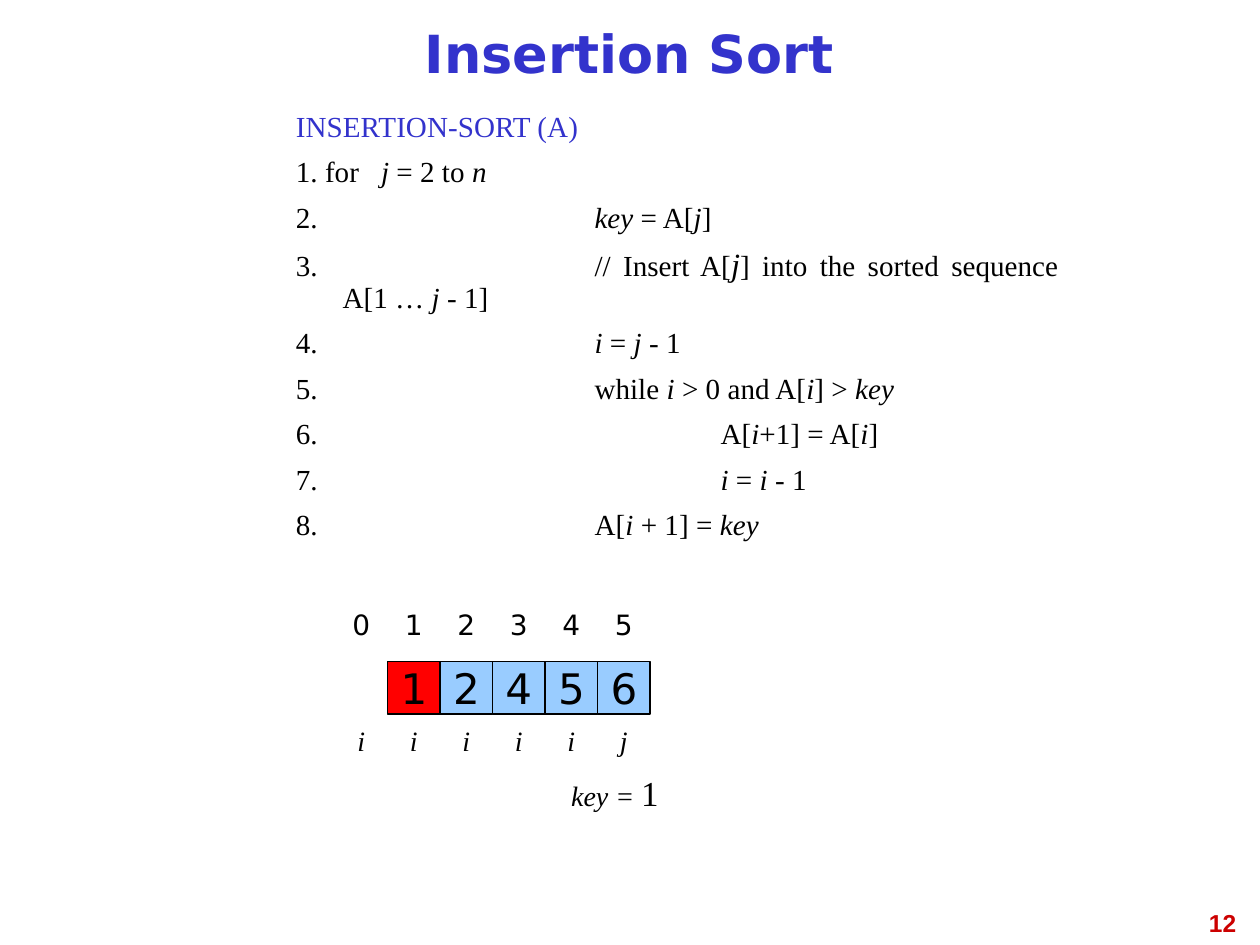
from pptx import Presentation
from pptx.dml.color import RGBColor
from pptx.enum.shapes import MSO_SHAPE
from pptx.enum.text import MSO_ANCHOR, PP_ALIGN
from pptx.util import Inches, Pt

BLUE = RGBColor(0x33, 0x33, 0xCC)
BLACK = RGBColor(0, 0, 0)
RED = RGBColor(0xFF, 0, 0)
SKY = RGBColor(0x99, 0xCC, 0xFF)
DARK_RED = RGBColor(0xCC, 0, 0)
SERIF, SANS = "Times New Roman", "DejaVu Sans"

# Content: runs of a code line alternate between upright and italic
TITLE = "Insertion Sort"
CODE = [
    ["INSERTION-SORT (A)"],
    ["1. for  ", " j", " = 2 to ", "n"],
    ["2. \t\t\t", "key", " = A[", "j", "]"],
    ["3.\t\t\t// Insert A[", "j", "] into the sorted sequence A[1 … ", "j ", "- 1]"],
    ["4.\t\t\t", "i", " = ", "j ", "- 1"],
    ["5.\t\t\twhile ", "i", " > 0 and A[", "i", "] > ", "key"],
    ["6.\t\t\t\tA[", "i", "+1] = A[", "i", "]"],
    ["7.\t\t\t\t", "i", " = ", "i ", "- 1"],
    ["8.\t\t\tA[", "i ", "+ 1] = ", "key"],
]
INDEXES = "012345"
VALUES = "12456"
POINTERS = "iiiiij"
BIG_RUN = (3, 1)  # the j in line 3 is set larger
CODE_SIZE, BIG_SIZE = 16.65, 18.5
HANG, TAB_STEP = 0.37, 1

# Array grid: square cells, column 0 lies left of the array
CELL = 5 / 12
GRID_LEFT = 2.66
INDEX_TOP, VALUE_TOP, POINTER_TOP, KEY_TOP = 4.75, 5.25, 5.67, 6.08

prs = Presentation()
prs.slide_width, prs.slide_height = Inches(10), Inches(7.5)
s = prs.slides.add_slide(prs.slide_layouts[6])


def style(r, size, font, color=BLACK, bold=False, italic=False):
    r.font.size, r.font.name = Pt(size), font
    r.font.color.rgb = color
    r.font.bold, r.font.italic = bold, italic


def add_text(x, y, w, h, wrap=True, anchor=MSO_ANCHOR.MIDDLE):
    tf = s.shapes.add_textbox(Inches(x), Inches(y), Inches(w), Inches(h)).text_frame
    tf.word_wrap, tf.vertical_anchor = wrap, anchor
    return tf


def write(tf, text, align, *font, **emphasis):
    tf.text = text
    p = tf.paragraphs[0]
    p.alignment = align
    style(p.runs[0], *font, **emphasis)
    return p


def add_label(col, top, text, font, italic=False):
    tf = add_text(GRID_LEFT + col * CELL, top, CELL, CELL, wrap=False)
    write(tf, text, PP_ALIGN.CENTER, 16, font, italic=italic)


# Page number and title
write(add_text(7.58, 7.16, 2.33, 0.52, anchor=MSO_ANCHOR.TOP), "12",
      PP_ALIGN.RIGHT, 14, "Arial", DARK_RED, bold=True)
p = write(add_text(0.5, 0.09, 8.99, 0.75), TITLE,
          PP_ALIGN.CENTER, 30, SANS, BLUE, bold=True)
p.line_spacing = 0.81

# Pseudocode with hanging indents
tf = add_text(2.25, 0.84, 6.25, 3.92, anchor=MSO_ANCHOR.TOP)
for n, line in enumerate(CODE):
    p = tf.add_paragraph() if n else tf.paragraphs[0]
    p.alignment, p.line_spacing, p.space_before = PP_ALIGN.JUSTIFY, 0.9, Pt(8)
    pPr = p._p.get_or_add_pPr()
    pPr.set("marL", str(Inches(HANG)))
    pPr.set("indent", str(Inches(-HANG)))
    pPr.set("defTabSz", str(Inches(TAB_STEP)))
    for k, text in enumerate(line):
        r = p.add_run()
        r.text = text
        style(r, BIG_SIZE if (n, k) == BIG_RUN else CODE_SIZE, SERIF,
              BLACK if n else BLUE, italic=k % 2 == 1)

# Index and pointer rows
for col, (index, pointer) in enumerate(zip(INDEXES, POINTERS)):
    add_label(col, INDEX_TOP, index, SANS)
    add_label(col, POINTER_TOP, pointer, SERIF, italic=True)

# Array cells, the inserted key in red
for col, value in enumerate(VALUES, start=1):
    cell = s.shapes.add_shape(MSO_SHAPE.RECTANGLE, Inches(GRID_LEFT + col * CELL),
                              Inches(VALUE_TOP), Inches(CELL), Inches(CELL))
    cell.shadow.inherit = False
    cell.fill.solid()
    cell.fill.fore_color.rgb = RED if col == 1 else SKY
    cell.line.color.rgb, cell.line.width = BLACK, Pt(0.75)
    tf = cell.text_frame
    tf.word_wrap, tf.vertical_anchor = False, MSO_ANCHOR.MIDDLE
    write(tf, value, PP_ALIGN.CENTER, 24, SANS)

# Key value
p = write(add_text(4.42, KEY_TOP, 0.92, CELL, wrap=False), "key = ",
          PP_ALIGN.CENTER, 16, SERIF, italic=True)
r = p.add_run()
r.text = "1"
style(r, 20, SERIF)

prs.save("out.pptx")
